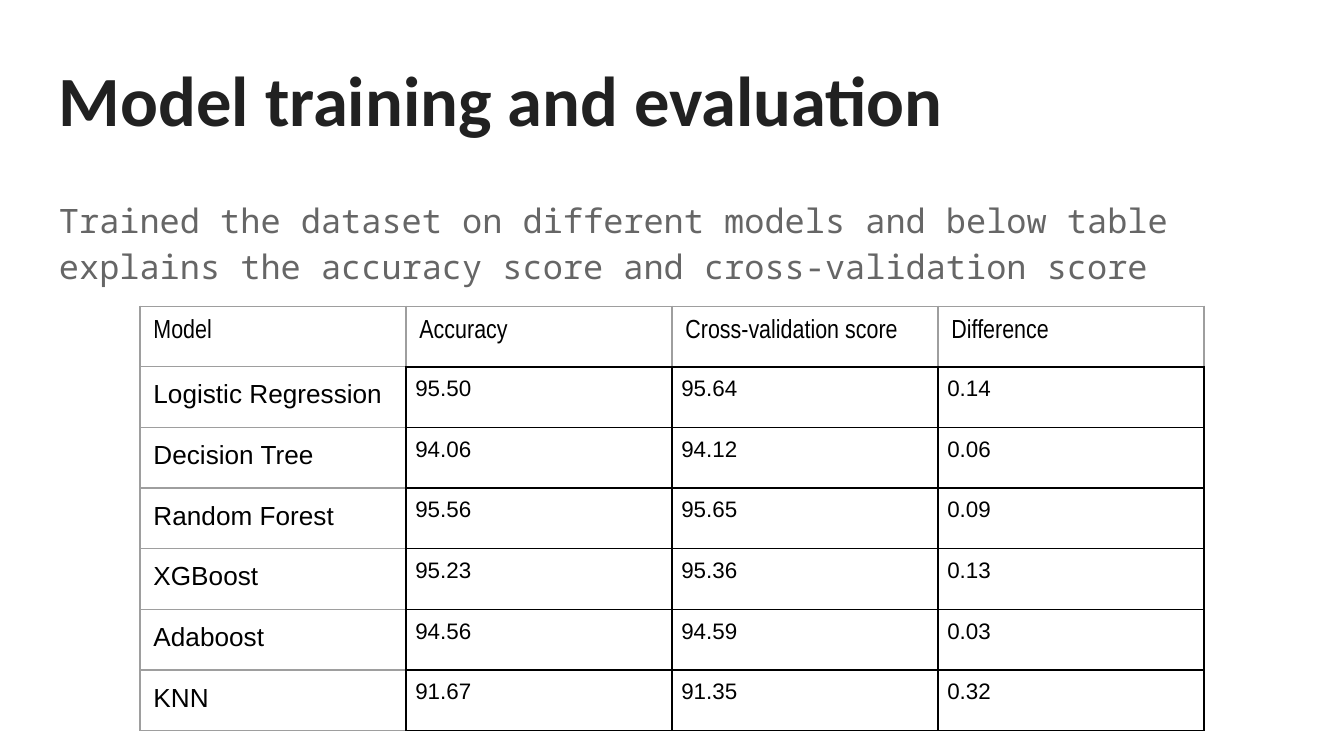
from lxml import etree
from pptx import Presentation
from pptx.dml.color import RGBColor
from pptx.oxml.ns import qn
from pptx.util import Pt

TITLE = "Model training and evaluation"
INTRO = ("Trained the dataset on different models and below table explains "
         "the accuracy score and cross-validation score")
ROWS = [
    ("Model", "Accuracy", "Cross-validation score", "Difference"),
    ("Logistic Regression", "95.50", "95.64", "0.14"),
    ("Decision Tree", "94.06", "94.12", "0.06"),
    ("Random Forest", "95.56", "95.65", "0.09"),
    ("XGBoost", "95.23", "95.36", "0.13"),
    ("Adaboost", "94.56", "94.59", "0.03"),
    ("KNN", "91.67", "91.35", "0.32"),
]
GREY, BLACK = ("9E9E9E", 0.75), ("000000", 1)
LEFT, TOP, COL_W, ROW_H = 75, 164, 142.5, 32.5


def style(p, size, font, color, bold=False):
    p.font.size, p.font.name, p.font.bold = Pt(size), font, bold
    p.font.color.rgb = RGBColor.from_string(color)


def set_margins(target, margin):
    target.margin_left = target.margin_right = Pt(margin)
    target.margin_top = target.margin_bottom = Pt(margin)


def add_text(slide, text, top, height, *font, spacing=1.0):
    tf = slide.shapes.add_textbox(Pt(24.5), Pt(top), Pt(671), Pt(height)).text_frame
    tf.word_wrap = True
    set_margins(tf, 7.2)
    p = tf.paragraphs[0]
    p.text, p.line_spacing = text, spacing
    style(p, *font)


def set_borders(cell, **sides):
    """Draw each side, L, R, T and B in that order, ahead of the cell's fill."""
    tc_pr = cell._tc.get_or_add_tcPr()
    for i, (side, (color, width)) in enumerate(sides.items()):
        ln = etree.Element(qn(f"a:ln{side}"), w=str(Pt(width)))
        fill = etree.SubElement(ln, qn("a:solidFill"))
        etree.SubElement(fill, qn("a:srgbClr"), val=color)
        tc_pr.insert(i, ln)


def add_score_table(slide):
    n_rows, n_cols = len(ROWS), len(ROWS[0])
    frame = slide.shapes.add_table(n_rows, n_cols, Pt(LEFT), Pt(TOP),
                                   Pt(COL_W * n_cols), Pt(ROW_H * n_rows))
    table = frame.table
    table.first_row = table.horz_banding = False
    for col in table.columns:
        col.width = Pt(COL_W)
    for r, row in enumerate(ROWS):
        table.rows[r].height = Pt(ROW_H)
        for c, text in enumerate(row):
            header, name = r == 0, c == 0
            cell = table.cell(r, c)
            cell.text = text
            cell.fill.background()
            set_margins(cell, 7.2 if header or name else 5)
            style(cell.text_frame.paragraphs[0], 14 if header or name else 12,
                  "Arial Narrow" if header else "Arial", "000000")
            edge = GREY if header or name else BLACK
            set_borders(cell,
                        L=edge,
                        R=GREY if header else BLACK,
                        T=edge,
                        B=GREY if name else BLACK)


prs = Presentation()
prs.slide_width, prs.slide_height = Pt(720), Pt(405)
slide = prs.slides.add_slide(prs.slide_layouts[6])
add_text(slide, TITLE, 23, 63.4, 37.8, "Calibri", "212121", True)
add_text(slide, INTRO, 96.5, 262.8, 18, "Noto Sans Mono", "666666", spacing=1.15)
add_score_table(slide)
prs.save("out.pptx")
